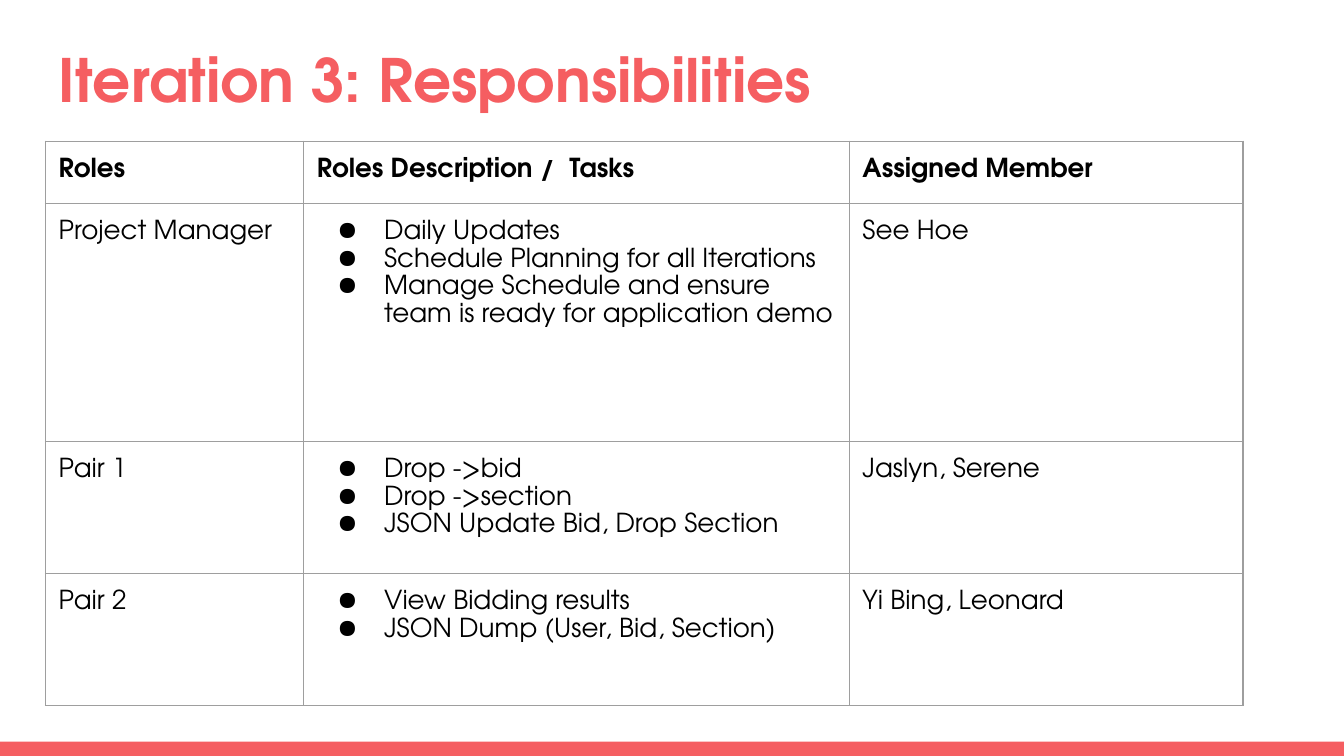
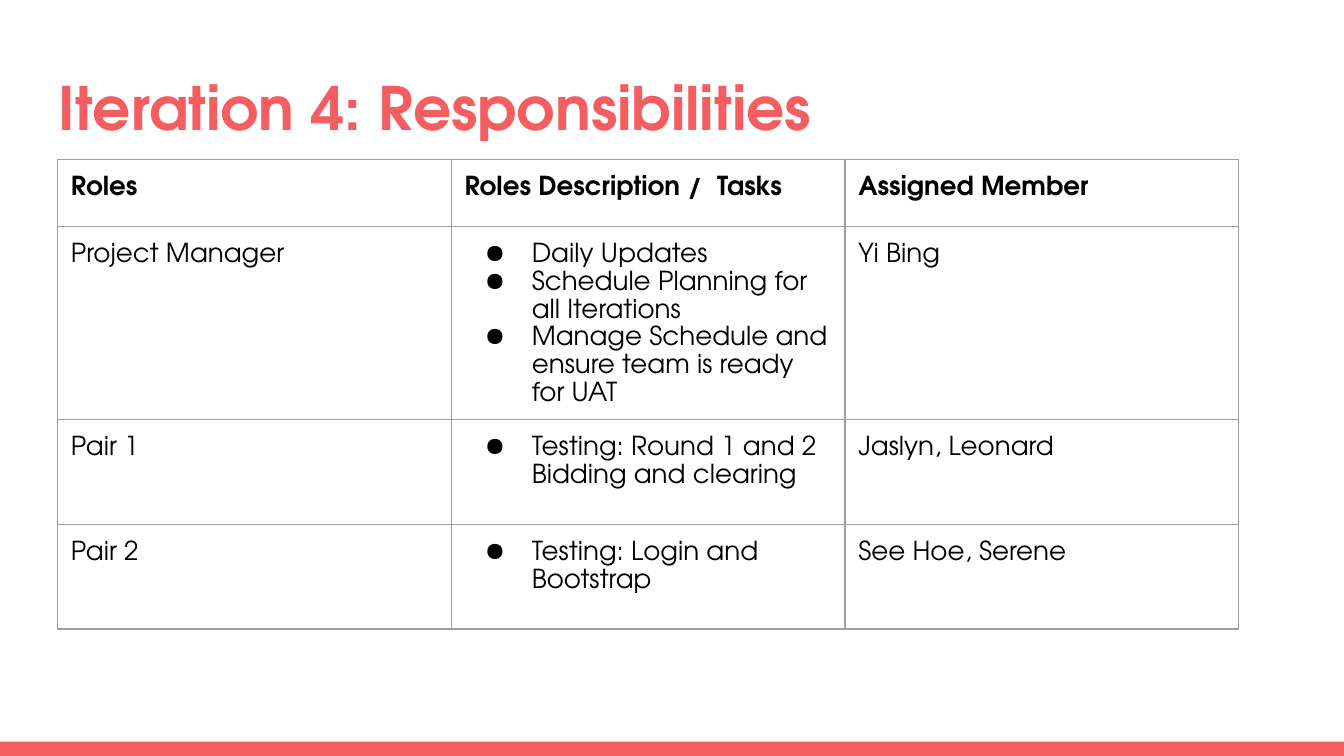
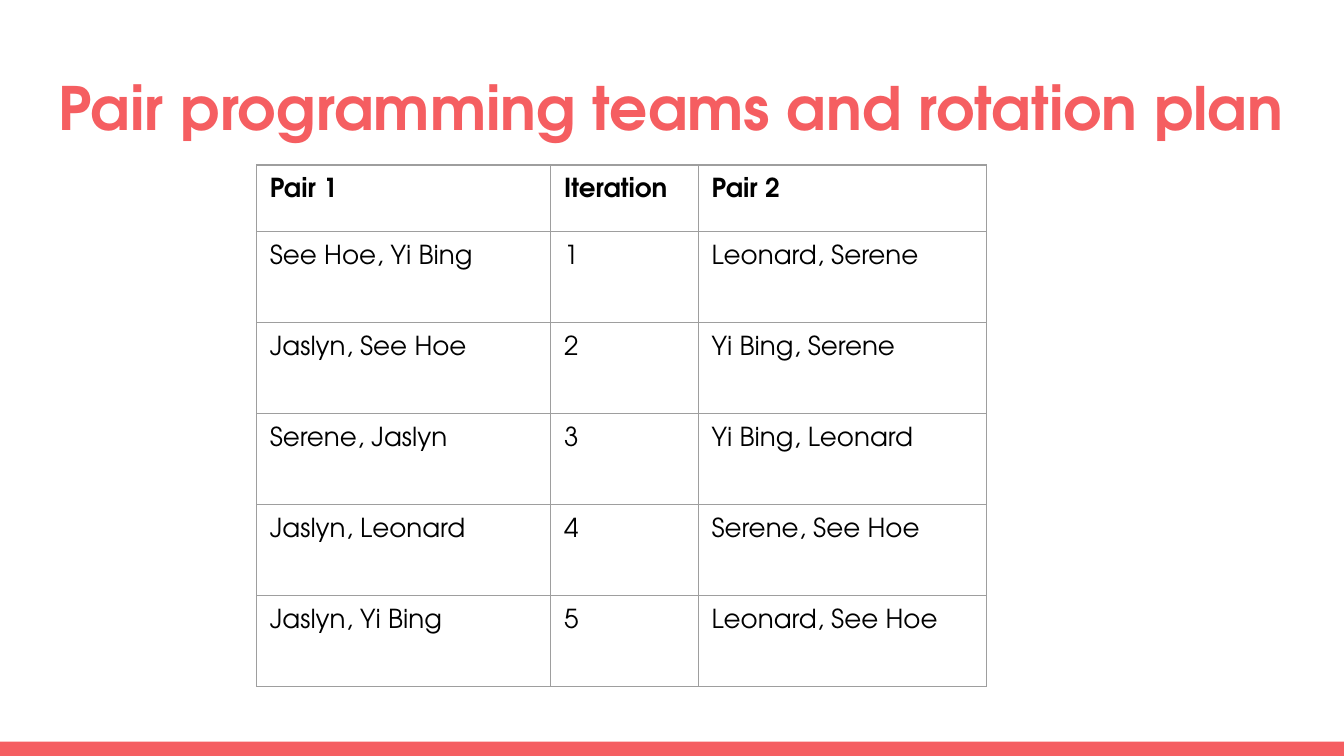
from lxml import etree
from pptx import Presentation
from pptx.dml.color import RGBColor
from pptx.enum.shapes import MSO_SHAPE as Shape
from pptx.enum.text import MSO_ANCHOR as Anchor, MSO_AUTO_SIZE as Fit, PP_ALIGN as Align
from pptx.oxml.ns import qn
from pptx.util import Cm, Pt

COLORS = {"coral": "F55E61", "ink": "000000", "rule": "9E9E9E"}
FONT = "TeX Gyre Adventor"
WIDTH, HEIGHT, BAND = 25.4, 14.29, 0.27
PAD = Cm(0.25)
ROLES = ["Roles", "Roles Description /  Tasks", "Assigned Member"]


def rgb(name):
    return RGBColor.from_string(COLORS[name])


# Text helpers
def style(para, size, color, bold):
    para.alignment = Align.LEFT
    for run in para.runs:
        font = run.font
        font.name, font.size, font.bold = FONT, Pt(size), bold
        font.color.rgb = rgb(color)


def add_bullet(para):
    props = para._p.get_or_add_pPr()
    props.set("marL", str(Cm(1.27)))
    props.set("indent", str(-Cm(0.89)))
    tint = etree.SubElement(props, qn("a:buClr"))
    etree.SubElement(tint, qn("a:srgbClr"), val=COLORS["ink"])
    etree.SubElement(props, qn("a:buChar"), char="●")


# Shared band at the foot, kept on the layout
def add_band(slide):
    band = slide.shapes.add_shape(
        Shape.RECTANGLE, 0, Cm(HEIGHT - BAND), Cm(WIDTH), Cm(BAND))
    band.shadow.inherit = False
    band.fill.solid()
    band.fill.fore_color.rgb = rgb("coral")
    band.line.fill.background()
    slide.slide_layout.shapes.element.append(band.element)


def add_title(slide, text, top):
    title = slide.shapes.title
    title.left, title.top = Cm(0.86), Cm(top)
    title.width, title.height = Cm(23.67), Cm(1.73)
    frame = title.text_frame
    frame.text = text
    frame.word_wrap = True
    frame.auto_size = Fit.NONE
    frame.vertical_anchor = Anchor.TOP
    frame.margin_left = frame.margin_right = PAD
    frame.margin_top = frame.margin_bottom = PAD
    style(frame.paragraphs[0], 32, "coral", True)


# Table parts
def add_border(cell):
    props = cell._tc.get_or_add_tcPr()
    for side in ("a:lnL", "a:lnR", "a:lnT", "a:lnB"):
        line = etree.SubElement(props, qn(side), w=str(Pt(0.75)))
        fill = etree.SubElement(line, qn("a:solidFill"))
        etree.SubElement(fill, qn("a:srgbClr"), val=COLORS["rule"])


def fill_cell(cell, value, head, space):
    listed = isinstance(value, list)
    cell.margin_left = cell.margin_right = PAD
    cell.margin_top = cell.margin_bottom = PAD
    add_border(cell)
    cell.fill.background()
    cell.text_frame.text = "\n".join(value) if listed else value
    for para in cell.text_frame.paragraphs:
        style(para, 14, "ink", head)
        if space:
            para.line_spacing = space
        if listed:
            add_bullet(para)


def add_grid(slide, left, top, cols, rows, data, space=None):
    frame = slide.shapes.add_table(
        len(rows), len(cols), Cm(left), Cm(top), Cm(sum(cols)), Cm(sum(rows)))
    table = frame.table
    table.first_row = table.horz_banding = False
    for col, width in zip(table.columns, cols):
        col.width = Cm(width)
    for row, height in zip(table.rows, rows):
        row.height = Cm(height)
    for r, line in enumerate(data):
        for c, value in enumerate(line):
            fill_cell(table.cell(r, c), value, r == 0, space)


def main():
    deck = Presentation()
    deck.slide_width, deck.slide_height = Cm(WIDTH), Cm(HEIGHT)
    layout = deck.slide_layouts[5]

    # Iteration 3
    slide = deck.slides.add_slide(layout)
    add_band(slide)
    add_title(slide, "Iteration 3: Responsibilities", 0.56)
    add_grid(slide, 0.86, 2.67, [4.88, 10.31, 7.44], [1.17, 4.5, 2.5, 2.5], [
        ROLES,
        ["Project Manager",
         ["Daily Updates", "Schedule Planning for all Iterations",
          "Manage Schedule and ensure team is ready for application demo"],
         "See Hoe"],
        ["Pair 1",
         ["Drop ->bid", "Drop ->section", "JSON Update Bid, Drop Section"],
         "Jaslyn, Serene"],
        ["Pair 2",
         ["View Bidding results", "JSON Dump (User, Bid, Section)"],
         "Yi Bing, Leonard"],
    ], 1.15)

    # Iteration 4
    slide = deck.slides.add_slide(layout)
    add_title(slide, "Iteration 4: Responsibilities", 1.09)
    add_grid(slide, 1.09, 3.02, [7.44] * 3, [1.26, 3.43, 1.98, 1.98], [
        ROLES,
        ["Project Manager",
         ["Daily Updates", "Schedule Planning for all Iterations",
          "Manage Schedule and ensure team is ready for UAT"],
         "Yi Bing"],
        ["Pair 1", ["Testing: Round 1 and 2 Bidding and clearing"],
         "Jaslyn, Leonard"],
        ["Pair 2", ["Testing: Login and Bootstrap"], "See Hoe, Serene"],
    ], 1.15)

    # Rotation plan
    slide = deck.slides.add_slide(layout)
    add_title(slide, "Pair programming teams and rotation plan", 1.09)
    add_grid(slide, 4.85, 3.12, [5.56, 2.79, 5.44], [1.26] + [1.72] * 5, [
        ["Pair 1", "Iteration", "Pair 2"],
        ["See Hoe, Yi Bing", "1", "Leonard, Serene"],
        ["Jaslyn, See Hoe", "2", "Yi Bing, Serene"],
        ["Serene, Jaslyn", "3", "Yi Bing, Leonard"],
        ["Jaslyn, Leonard", "4", "Serene, See Hoe"],
        ["Jaslyn, Yi Bing", "5", "Leonard, See Hoe"],
    ])

    deck.save("out.pptx")


if __name__ == "__main__":
    main()
